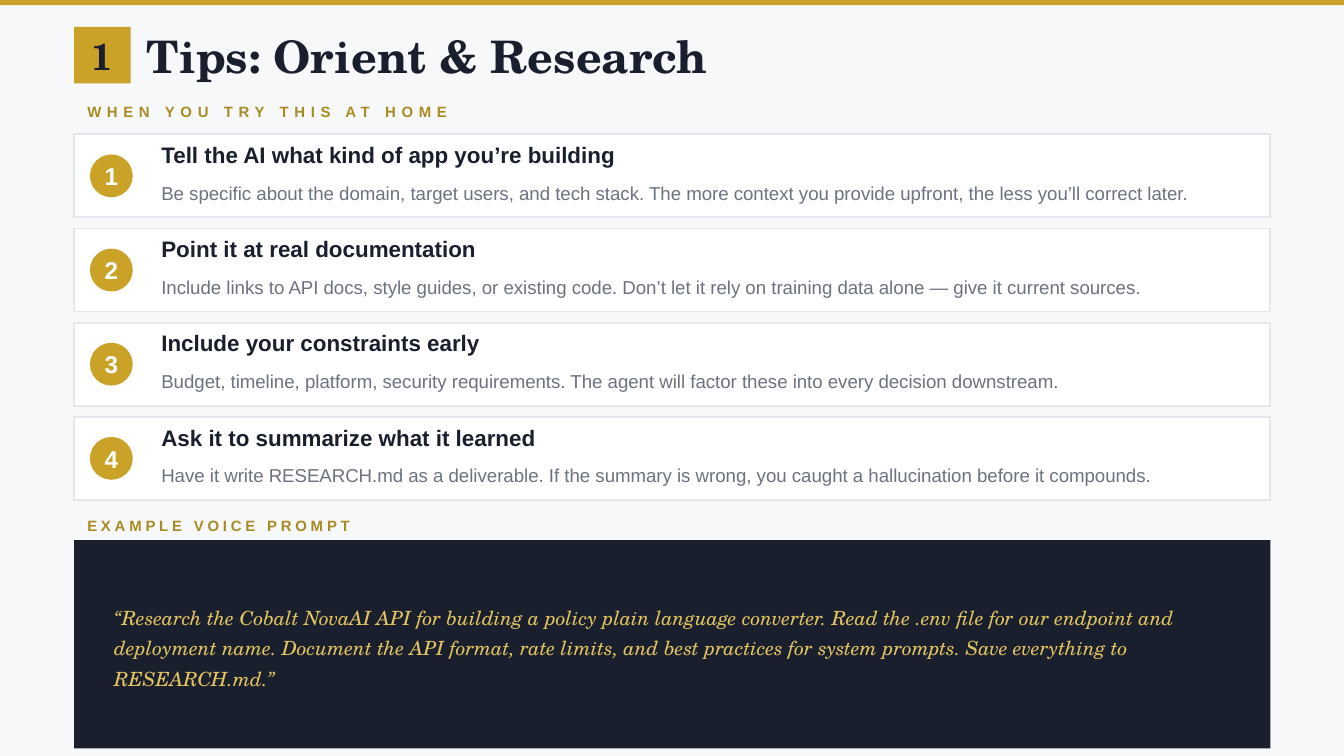
from pptx import Presentation
from pptx.dml.color import RGBColor
from pptx.enum.shapes import MSO_SHAPE as Shape
from pptx.enum.text import MSO_ANCHOR as Anchor, PP_ALIGN as Align
from pptx.util import Cm, Pt

SANS, SERIF = "Arial", "TeX Gyre Schola"
GOLD, DARK_GOLD, PALE_GOLD = "C9A227", "A88B22", "E3C560"
NAVY, GRAY, WHITE, BORDER, PAPER = "1A1F2E", "6B7280", "FFFFFF", "E4E7ED", "F7F8FA"
MARGIN, CONTENT_WIDTH = 1.4, 22.61
CARD_TOP, CARD_HEIGHT, CARD_PITCH = 2.54, 1.57, 1.78

TIPS = [
    ("Tell the AI what kind of app you’re building",
     "Be specific about the domain, target users, and tech stack. "
     "The more context you provide upfront, the less you’ll correct later."),
    ("Point it at real documentation",
     "Include links to API docs, style guides, or existing code. "
     "Don’t let it rely on training data alone — give it current sources."),
    ("Include your constraints early",
     "Budget, timeline, platform, security requirements. "
     "The agent will factor these into every decision downstream."),
    ("Ask it to summarize what it learned",
     "Have it write RESEARCH.md as a deliverable. "
     "If the summary is wrong, you caught a hallucination before it compounds."),
]
PROMPT = (
    "“Research the Cobalt NovaAI API for building a policy plain language converter. "
    "Read the .env file for our endpoint and deployment name. "
    "Document the API format, rate limits, and best practices for system prompts. "
    "Save everything to RESEARCH.md.”"
)


def color(value):
    return RGBColor.from_string(value)


def add_block(slide, box, fill, kind=Shape.RECTANGLE, line=None):
    shape = slide.shapes.add_shape(kind, *map(Cm, box))
    shape.shadow.inherit = False
    shape.fill.solid()
    shape.fill.fore_color.rgb = color(fill)
    if line:
        shape.line.color.rgb = color(line)
        shape.line.width = Pt(1)
    else:
        shape.line.fill.background()


def add_text(slide, box, text, size, ink, font=SANS, bold=False, italic=False,
             align=Align.LEFT, anchor=Anchor.MIDDLE, line_spacing=None,
             letter_spacing=None, inset=True):
    frame = slide.shapes.add_textbox(*map(Cm, box)).text_frame
    frame.word_wrap = True
    frame.vertical_anchor = anchor
    if not inset:
        frame.margin_left = frame.margin_right = 0
        frame.margin_top = frame.margin_bottom = 0
    paragraph = frame.paragraphs[0]
    paragraph.alignment = align
    if line_spacing:
        paragraph.line_spacing = line_spacing
    run = paragraph.add_run()
    run.text = text
    run.font.name = font
    run.font.size = Pt(size)
    run.font.bold = bold
    run.font.italic = italic
    run.font.color.rgb = color(ink)
    if letter_spacing:
        run._r.get_or_add_rPr().set("spc", str(letter_spacing * 100))


def add_header(slide, left, top, width, height):
    badge = (left, top, height, height)
    title_offset = height + 0.3
    add_block(slide, badge, GOLD)
    add_text(slide, badge, "1", 20, NAVY, SERIF, bold=True, align=Align.CENTER)
    add_text(slide, (left + title_offset, top, width - title_offset, height),
             "Tips: Orient & Research", 24, NAVY, SERIF, bold=True, inset=False)


def add_label(slide, box, text, letter_spacing):
    add_text(slide, box, text, 8, DARK_GOLD, bold=True, letter_spacing=letter_spacing)


def add_tip_card(slide, left, top, width, height, number, heading, detail):
    circle = (left + 0.3, top + 0.38, 0.81, 0.81)
    text_left, text_width = left + 1.4, width - 1.78
    add_block(slide, (left, top, width, height), WHITE, line=BORDER)
    add_block(slide, circle, GOLD, Shape.OVAL)
    add_text(slide, circle, str(number), 13, WHITE, bold=True, align=Align.CENTER)
    add_text(slide, (text_left, top + 0.13, text_width, 0.51), heading, 12, NAVY, bold=True)
    add_text(slide, (text_left, top + 0.66, text_width, 0.71), detail, 10, GRAY,
             anchor=Anchor.TOP, line_spacing=1.25)


def add_prompt_panel(slide, left, top, width, height):
    padding = 0.51
    add_block(slide, (left, top, width, height), NAVY)
    add_text(slide, (left + padding, top, width - 2 * padding, height), PROMPT,
             10.5, PALE_GOLD, SERIF, italic=True, line_spacing=1.3)


def main():
    presentation = Presentation()
    presentation.slide_width, presentation.slide_height = Cm(25.4), Cm(14.29)
    slide = presentation.slides.add_slide(presentation.slide_layouts[6])
    slide.background.fill.solid()
    slide.background.fill.fore_color.rgb = color(PAPER)

    add_block(slide, (0, 0, 25.4, 0.1), GOLD)
    add_header(slide, MARGIN, 0.51, CONTENT_WIDTH, 1.07)
    add_label(slide, (MARGIN, 1.83, CONTENT_WIDTH, 0.56), "WHEN YOU TRY THIS AT HOME", 3)
    for index, (heading, detail) in enumerate(TIPS):
        add_tip_card(slide, MARGIN, CARD_TOP + index * CARD_PITCH, CONTENT_WIDTH,
                     CARD_HEIGHT, index + 1, heading, detail)
    add_label(slide, (MARGIN, 9.7, CONTENT_WIDTH, 0.46), "EXAMPLE VOICE PROMPT", 2)
    add_prompt_panel(slide, MARGIN, 10.21, CONTENT_WIDTH, 3.94)

    presentation.save("out.pptx")


if __name__ == "__main__":
    main()
